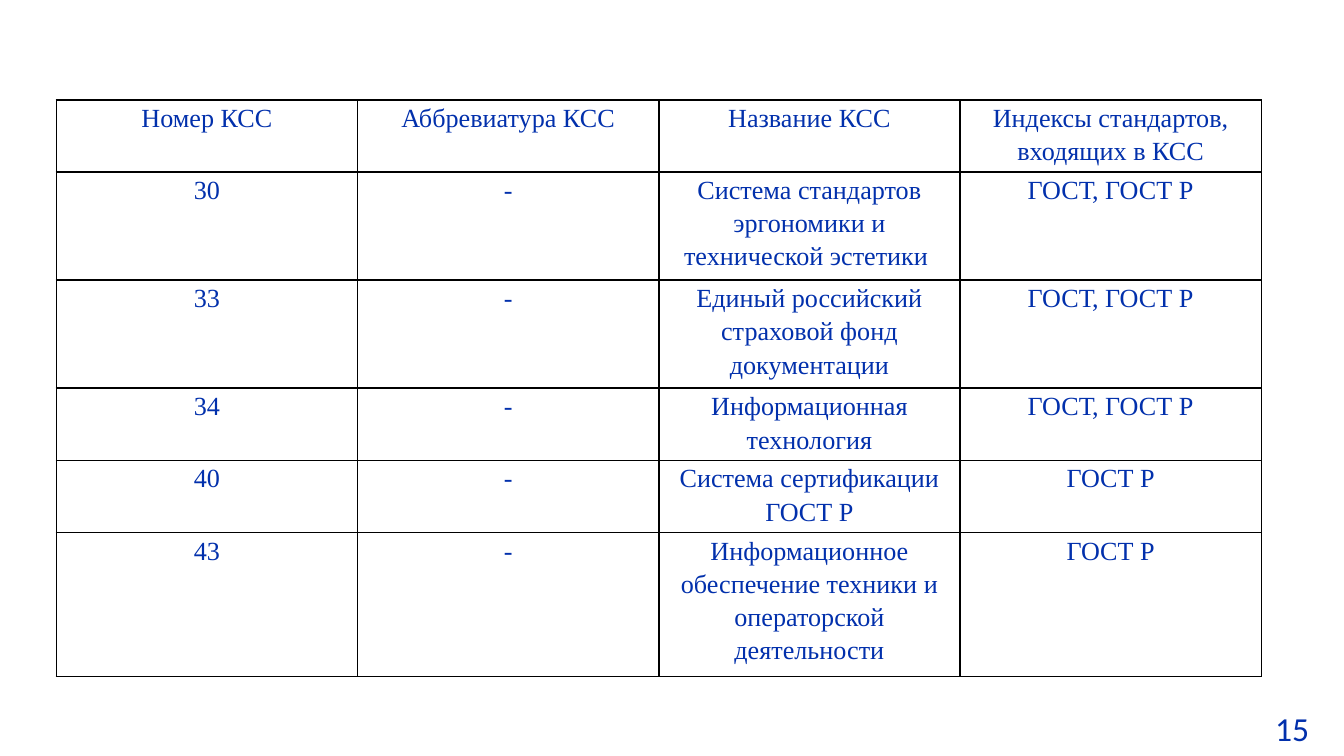
from lxml import etree
from pptx import Presentation
from pptx import util as u
from pptx.dml.color import RGBColor
from pptx.enum import text
from pptx.oxml.ns import qn

Pt = u.Pt
INK = "0230AC"
BORDER = "000000"
COLUMN_WIDTH = 161.4
LINE_HEIGHT = 19.3

HEADINGS = (
    "Номер КСС",
    "Аббревиатура КСС",
    "Название КСС",
    "Индексы стандартов, входящих в КСС",
)
SYSTEMS = [
    ("30", "-", "Система стандартов эргономики и технической эстетики ", "ГОСТ, ГОСТ Р"),
    ("33", "-", "Единый российский страховой фонд документации", "ГОСТ, ГОСТ Р"),
    ("34", "-", "Информационная технология", "ГОСТ, ГОСТ Р"),
    ("40", "-", "Система сертификации ГОСТ Р", "ГОСТ Р"),
    ("43", "-", "Информационное обеспечение техники и операторской деятельности", "ГОСТ Р"),
]
LINES_PER_ROW = (2, 3, 3, 2, 2, 4)


def color(hex_string):
    return RGBColor.from_string(hex_string)


def set_font(paragraph, family, size):
    paragraph.font.name = family
    paragraph.font.size = Pt(size)
    paragraph.font.color.rgb = color(INK)


def add_borders(cell):
    properties = cell._tc.get_or_add_tcPr()
    for side in ("lnL", "lnR", "lnT", "lnB"):
        edge = etree.SubElement(properties, qn(f"a:{side}"), w=str(Pt(1)))
        paint = etree.SubElement(edge, qn("a:solidFill"))
        etree.SubElement(paint, qn("a:srgbClr"), val=BORDER)


def fill_cell(cell, wording):
    cell.margin_left = cell.margin_right = Pt(5)
    cell.margin_top = cell.margin_bottom = 0
    add_borders(cell)
    cell.fill.background()
    cell.text = wording
    paragraph = cell.text_frame.paragraphs[0]
    paragraph.alignment = text.PP_ALIGN.CENTER
    paragraph.line_spacing = 1.15
    set_font(paragraph, "Times New Roman", 14)


def add_standards_table(slide):
    records = [HEADINGS] + SYSTEMS
    standards = slide.shapes.add_table(
        len(records), len(HEADINGS), Pt(30.2), Pt(53.5),
        Pt(COLUMN_WIDTH * len(HEADINGS)), Pt(LINE_HEIGHT * sum(LINES_PER_ROW)),
    ).table
    standards.first_row = standards.horz_banding = False
    for column in standards.columns:
        column.width = Pt(COLUMN_WIDTH)
    for row, record, lines in zip(standards.rows, records, LINES_PER_ROW):
        row.height = Pt(LINE_HEIGHT * lines)
        for cell, wording in zip(row.cells, record):
            fill_cell(cell, wording)


def add_page_number(slide, number):
    frame = slide.shapes.add_textbox(Pt(676), Pt(375.8), Pt(42.5), Pt(29)).text_frame
    frame.word_wrap = True
    frame.auto_size = text.MSO_AUTO_SIZE.SHAPE_TO_FIT_TEXT
    frame.text = number
    set_font(frame.paragraphs[0], "Calibri", 18)


def main():
    deck = Presentation()
    deck.slide_width, deck.slide_height = Pt(720), Pt(405)
    slide = deck.slides.add_slide(deck.slide_layouts[6])
    add_page_number(slide, "15")
    add_standards_table(slide)
    deck.save("out.pptx")


if __name__ == "__main__":
    main()
